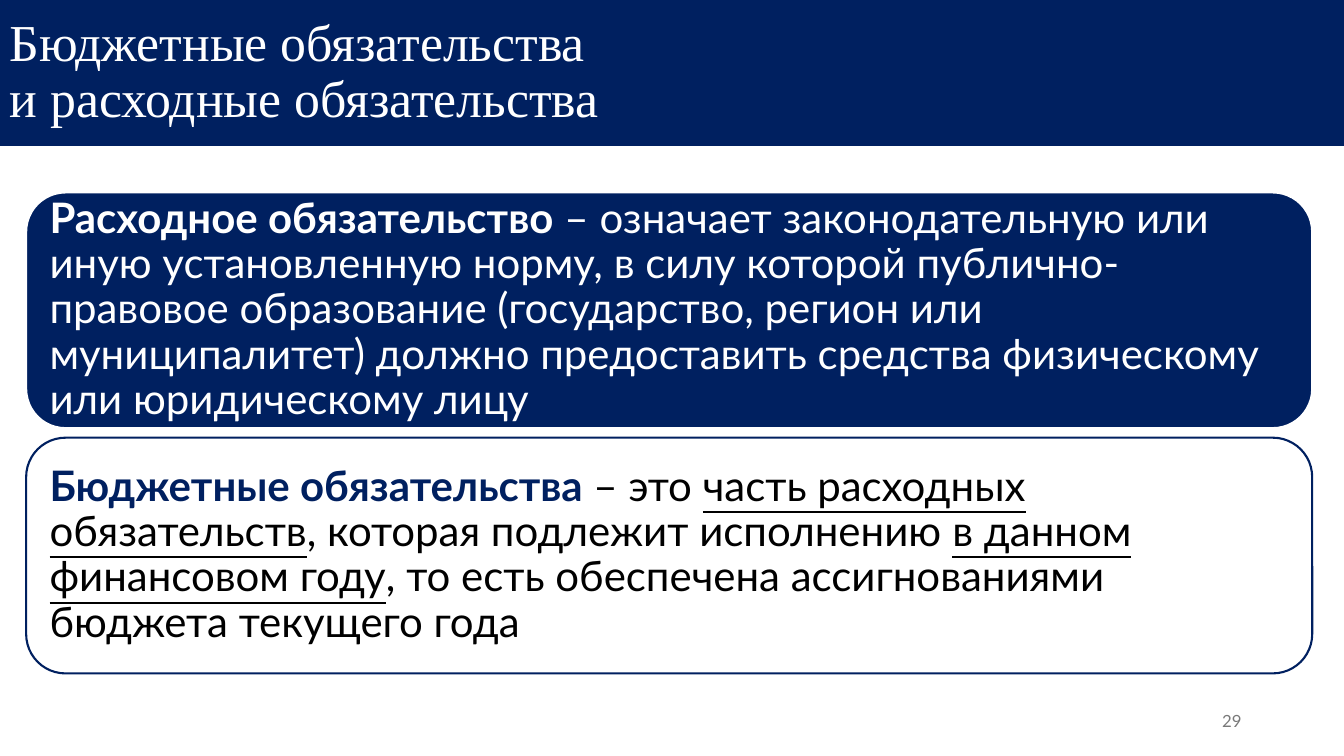
from pptx import Presentation
from pptx.dml.color import RGBColor
from pptx.enum.shapes import MSO_SHAPE
from pptx.enum.text import MSO_ANCHOR, PP_ALIGN
from pptx.util import Cm, Pt

NAVY = RGBColor(0x00, 0x20, 0x60)
WHITE = RGBColor(0xFF, 0xFF, 0xFF)
BLACK = RGBColor(0x00, 0x00, 0x00)
GRAY = RGBColor(0x79, 0x79, 0x79)
WIDTH, HEIGHT = 33.87, 19.05


class Deck:
    sans, serif = "Lato", "Times New Roman"

    def __init__(self):
        self.file = Presentation()
        self.file.slide_width, self.file.slide_height = Cm(WIDTH), Cm(HEIGHT)
        self.slide = self.file.slides.add_slide(self.file.slide_layouts[6])

    def style(self, run, size, color, face, bold=False, under=False):
        font = run.font
        font.name, font.size, font.bold = face, Pt(size), bold
        font.underline = under
        font.color.rgb = color

    def block(self, kind, box, fill, line=None):
        shape = self.slide.shapes.add_shape(kind, *map(Cm, box))
        shape.shadow.inherit = False
        shape.fill.solid()
        shape.fill.fore_color.rgb = fill
        if line is None:
            shape.line.fill.background()
        else:
            shape.line.color.rgb = line
            shape.line.width = Pt(1.5)
        frame = shape.text_frame
        frame.word_wrap = True
        frame.vertical_anchor = MSO_ANCHOR.MIDDLE
        para = frame.paragraphs[0]
        para.alignment = PP_ALIGN.LEFT
        para.line_spacing = 0.9
        return frame

    def title(self, text, high):
        frame = self.block(MSO_SHAPE.RECTANGLE, (0, 0, WIDTH, high), NAVY)
        para = frame.paragraphs[0]
        para.text = text
        for run in para.runs:
            self.style(run, 37, WHITE, self.serif)

    def card(self, top, fill, line, parts):
        frame = self.block(MSO_SHAPE.ROUNDED_RECTANGLE,
                           (0.66, top, 32.41, 5.94), fill, line)
        frame.margin_left = frame.margin_right = Cm(0.3)
        frame.margin_top = frame.margin_bottom = Cm(0.3)
        for text, color, bold, under in parts:
            run = frame.paragraphs[0].add_run()
            run.text = text
            self.style(run, 30, color, self.sans, bold, under)

    def number(self, text):
        box = self.slide.shapes.add_textbox(Cm(23.92), Cm(17.66), Cm(7.62), Cm(1.01))
        frame = box.text_frame
        frame.word_wrap = True
        frame.vertical_anchor = MSO_ANCHOR.MIDDLE
        para = frame.paragraphs[0]
        para.text = text
        para.alignment = PP_ALIGN.RIGHT
        self.style(para.runs[0], 12, GRAY, self.sans)


def main():
    deck = Deck()

    # Definitions: text, colour, bold, underline
    deck.card(4.85, NAVY, WHITE, [
        ("Расходное обязательство", WHITE, True, False),
        (" – означает законодательную или иную установленную норму, "
         "в силу которой публично-правовое образование (государство, регион "
         "или муниципалитет) должно предоставить средства физическому "
         "или юридическому лицу", WHITE, False, False),
    ])
    deck.card(11.03, WHITE, NAVY, [
        ("Бюджетные обязательства ", NAVY, True, False),
        ("– это ", BLACK, False, False),
        ("часть расходных обязательств", BLACK, False, True),
        (", которая подлежит исполнению ", BLACK, False, False),
        ("в данном финансовом году", BLACK, False, True),
        (", то есть обеспечена ассигнованиями бюджета текущего года",
         BLACK, False, False),
    ])

    # Page number and title band
    deck.number("29")
    deck.title("Бюджетные обязательства \vи расходные обязательства", 3.68)

    deck.file.save("out.pptx")


if __name__ == "__main__":
    main()
